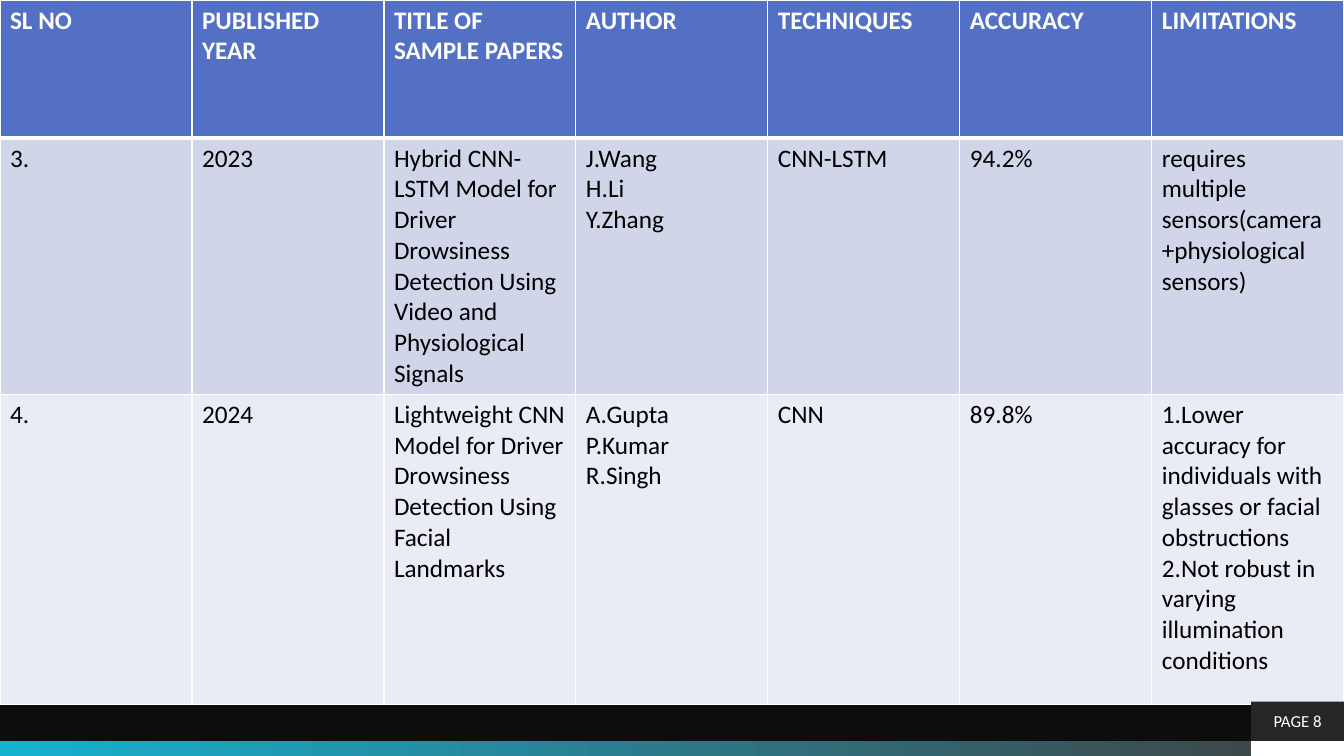
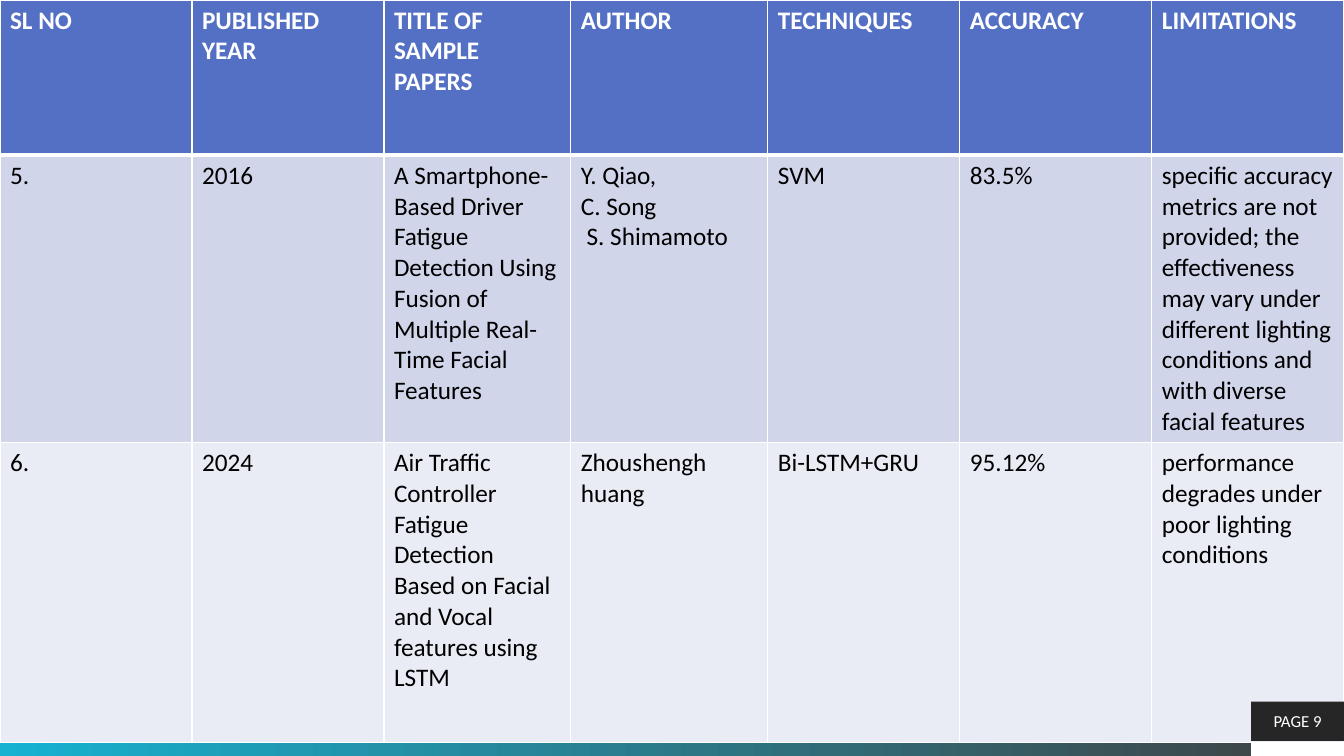
from dataclasses import dataclass

from lxml import etree
from pptx import Presentation
from pptx.dml.color import RGBColor
from pptx.enum.shapes import MSO_SHAPE
from pptx.enum.text import MSO_ANCHOR, PP_ALIGN
from pptx.oxml.ns import qn
from pptx.util import Inches, Pt

RECTANGLE = MSO_SHAPE.RECTANGLE
MIDDLE = MSO_ANCHOR.MIDDLE
CENTER = PP_ALIGN.CENTER


@dataclass(frozen=True)
class Theme:
    background: str = "0D0D0D"
    band_start: str = "17B2D1"
    band_end: str = "404040"
    header: str = "5370C5"
    odd_row: str = "D1D5EA"
    even_row: str = "E9EBF5"
    page_tag: str = "262626"
    light: str = "FFFFFF"
    dark: str = "000000"
    font: str = "Calibri"
    table_size: int = 18
    page_size: int = 12
    rule: int = 1
    header_rule: int = 3


THEME = Theme()
WIDTH, HEIGHT = 13.33, 7.5
BAND_HEIGHT = 0.15
TAG_WIDTH, TAG_HEIGHT = 0.92, 0.39
BAND_TOP = HEIGHT - BAND_HEIGHT
TAG_LEFT = WIDTH - TAG_WIDTH

HEADINGS = ("SL NO", "PUBLISHED YEAR", "TITLE OF SAMPLE PAPERS", "AUTHOR",
            "TECHNIQUES", "ACCURACY", "LIMITATIONS")
TITLE_COLUMN, AUTHOR_COLUMN = 2, 3

# title_trim is the width that the title column gives to the author column
SURVEYS = [
    {
        "page": 8,
        "title_trim": 0,
        "row_heights": (1.37, 2.53, 3.08),
        "papers": [
            ("3.", "2023",
             "Hybrid CNN-LSTM Model for Driver Drowsiness Detection Using "
             "Video and Physiological Signals",
             "J.Wang\nH.Li\nY.Zhang", "CNN-LSTM", "94.2%",
             "requires multiple sensors(camera+physiological sensors)"),
            ("4.", "2024",
             "Lightweight CNN Model for Driver Drowsiness Detection Using "
             "Facial Landmarks",
             "A.Gupta\nP.Kumar\nR.Singh", "CNN", "89.8%",
             "1.Lower accuracy for individuals with glasses or facial "
             "obstructions\n"
             "2.Not robust in varying illumination conditions"),
        ],
    },
    {
        "page": 9,
        "title_trim": 0.05,
        "row_heights": (1.54, 2.85, 2.98),
        "papers": [
            ("5.", "2016",
             "A Smartphone-Based Driver Fatigue Detection Using Fusion of "
             "Multiple Real-Time Facial Features",
             "Y. Qiao,\nC. Song\n S. Shimamoto", "SVM", "83.5%",
             "specific accuracy metrics are not provided; the effectiveness "
             "may vary under different lighting conditions and with diverse "
             "facial features"),
            ("6.", "2024",
             "Air Traffic Controller Fatigue Detection Based on Facial and "
             "Vocal features using LSTM",
             "Zhoushengh huang", "Bi-LSTM+GRU", "95.12%",
             "performance degrades under poor lighting conditions"),
        ],
    },
]


def rgb(value):
    return RGBColor.from_string(value)


def paint(fill, color):
    fill.solid()
    fill.fore_color.rgb = rgb(color)


def style_text(frame, size, color, bold=False):
    for paragraph in frame.paragraphs:
        font = paragraph.font
        font.name, font.size, font.bold = THEME.font, Pt(size), bold
        font.color.rgb = rgb(color)


def add_block(slide, left, top, width, height, color):
    block = slide.shapes.add_shape(
        RECTANGLE, Inches(left), Inches(top), Inches(width), Inches(height))
    block.shadow.inherit = False
    block.line.fill.background()
    paint(block.fill, color)
    return block


def set_up_master(master, slide):
    """Give the master its background and bands, drawn first on a slide."""
    paint(master.background.fill, THEME.background)
    band = add_block(slide, 0, BAND_TOP, WIDTH, BAND_HEIGHT, THEME.band_start)
    band.fill.gradient()
    band.fill.gradient_angle = 0
    stops = zip(band.fill.gradient_stops, (THEME.band_start, THEME.band_end))
    for position, (stop, color) in enumerate(stops):
        stop.position = position
        stop.color.rgb = rgb(color)
    corner = add_block(slide, TAG_LEFT, BAND_TOP, TAG_WIDTH, BAND_HEIGHT,
                       THEME.light)
    for part in (band, corner):
        master.shapes.element.append(part.element)


def set_borders(cell, top, bottom):
    properties = cell._tc.get_or_add_tcPr()
    widths = {"lnL": THEME.rule, "lnR": THEME.rule, "lnT": top, "lnB": bottom}
    for side, width in widths.items():
        line = etree.SubElement(properties, qn(f"a:{side}"), w=str(Pt(width)))
        solid = etree.SubElement(line, qn("a:solidFill"))
        etree.SubElement(solid, qn("a:srgbClr"), val=THEME.light)


def add_survey_table(slide, survey):
    rows = [HEADINGS, *survey["papers"]]
    heights = survey["row_heights"]
    table = slide.shapes.add_table(
        len(rows), len(HEADINGS), 0, 0,
        Inches(WIDTH), Inches(sum(heights))).table

    widths = [WIDTH / len(HEADINGS)] * len(HEADINGS)
    widths[TITLE_COLUMN] -= survey["title_trim"]
    widths[AUTHOR_COLUMN] += survey["title_trim"]
    for column, width in zip(table.columns, widths):
        column.width = Inches(width)

    fills = (THEME.header, THEME.odd_row, THEME.even_row)
    for index, (row, texts) in enumerate(zip(table.rows, rows)):
        row.height = Inches(heights[index])
        is_header = index == 0
        top = THEME.header_rule if index == 1 else THEME.rule
        bottom = THEME.header_rule if is_header else THEME.rule
        for cell, text in zip(row.cells, texts):
            cell.text_frame.text = text
            style_text(cell.text_frame, THEME.table_size,
                       THEME.light if is_header else THEME.dark, is_header)
            set_borders(cell, top, bottom)
            paint(cell.fill, fills[index])


def add_page_tag(slide, page):
    tag = add_block(slide, TAG_LEFT, BAND_TOP - TAG_HEIGHT, TAG_WIDTH,
                    TAG_HEIGHT, THEME.page_tag)
    frame = tag.text_frame
    frame.text = f"PAGE {page}"
    frame.vertical_anchor = MIDDLE
    frame.paragraphs[0].alignment = CENTER
    style_text(frame, THEME.page_size, THEME.light)


def main():
    deck = Presentation()
    deck.slide_width, deck.slide_height = Inches(WIDTH), Inches(HEIGHT)
    blank = deck.slide_layouts.get_by_name("Blank")
    slides = [deck.slides.add_slide(blank) for _ in SURVEYS]
    set_up_master(deck.slide_master, slides[0])
    for slide, survey in zip(slides, SURVEYS):
        add_survey_table(slide, survey)
        add_page_tag(slide, survey["page"])
    deck.save("out.pptx")


if __name__ == "__main__":
    main()
